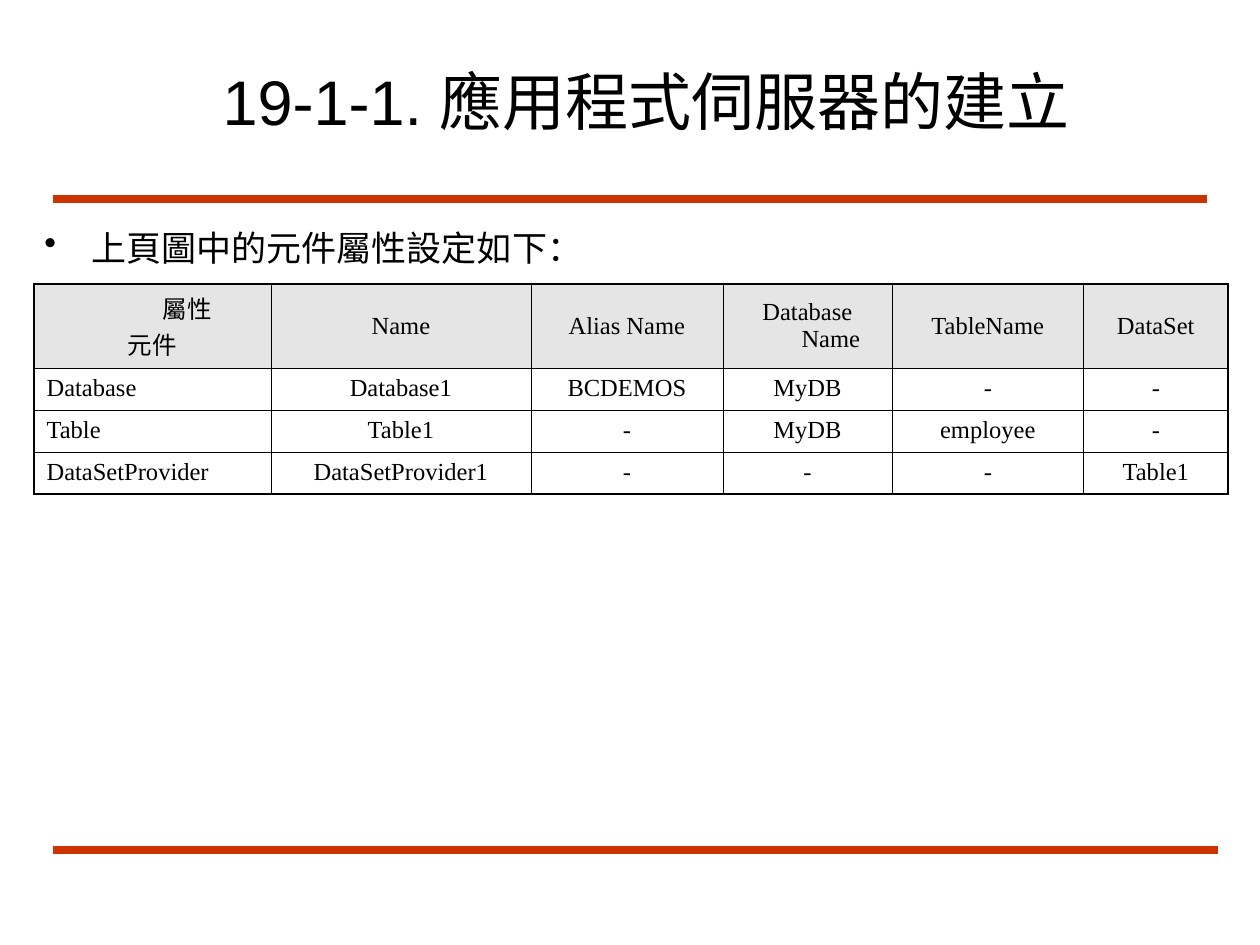
from lxml.etree import SubElement
from pptx import Presentation
from pptx.dml.color import RGBColor
from pptx.enum.shapes import MSO_CONNECTOR
from pptx.enum.text import MSO_ANCHOR, MSO_AUTO_SIZE, PP_ALIGN
from pptx.oxml.ns import qn
from pptx.util import Pt

PX = 914400 / 126
COLORS = {"text": "000000", "rule": "CC3300", "header": "E5E5E5"}
SANS, SERIF, CJK = "Arial", "Times New Roman", "Noto Sans CJK TC"
HANGING = 47
COLUMNS = [237, 260, 192, 169, 192, 144]
ROWS = [84, 40, 40, 40]
CELLS = [
    ["屬性\n元件", "Name", "Alias Name", "Database Name", "TableName", "DataSet"],
    ["Database", "Database1", "BCDEMOS", "MyDB", "-", "-"],
    ["Table", "Table1", "-", "MyDB", "employee", "-"],
    ["DataSetProvider", "DataSetProvider1", "-", "-", "-", "Table1"],
]


def emu(pixels):
    return round(pixels * PX)


def color(name):
    return RGBColor.from_string(COLORS[name])


class SlideBuilder:
    def __init__(self, deck):
        self.slide = deck.slides.add_slide(deck.slide_layouts[5])

    def add_text(self, para, text, size, font, align=PP_ALIGN.LEFT, margin=0, indent=0, bullet=None):
        para.alignment = align
        properties = para._p.get_or_add_pPr()
        properties.set("marL", str(emu(margin)))
        properties.set("indent", str(emu(indent)))
        if bullet:
            SubElement(properties, qn("a:buChar"), char=bullet)
        span = para.add_run()
        span.text = text
        span.font.size = Pt(size)
        span.font.name = font
        span.font.color.rgb = color("text")
        SubElement(span._r.get_or_add_rPr(), qn("a:ea"), typeface=CJK)

    def title(self, text, left, top, width, height):
        box = self.slide.shapes.title
        box.left, box.top, box.width, box.height = map(emu, (left, top, width, height))
        frame = box.text_frame
        frame.auto_size = MSO_AUTO_SIZE.NONE
        frame.vertical_anchor = MSO_ANCHOR.MIDDLE
        self.add_text(frame.paragraphs[0], text, 36, SANS)

    def rule(self, left, right, y):
        line = self.slide.shapes.add_connector(
            MSO_CONNECTOR.STRAIGHT, emu(left), emu(y), emu(right), emu(y))
        line.line.color.rgb = color("rule")
        line.line.width = Pt(4.5)
        SubElement(line._element.spPr, qn("a:effectLst"))

    def bullet(self, text, left, top, width, height):
        box = self.slide.shapes.add_textbox(*map(emu, (left, top, width, height)))
        frame = box.text_frame
        frame.word_wrap = True
        self.add_text(frame.paragraphs[0], text, 20, SANS,
                      margin=HANGING, indent=-HANGING, bullet="•")

    def borders(self, cell, row, column):
        outer = {"L": column == 0, "R": column == len(COLUMNS) - 1,
                 "T": row == 0, "B": row == len(ROWS) - 1}
        properties = cell._tc.get_or_add_tcPr()
        for side, is_outer in outer.items():
            width = Pt(0.96 if is_outer else 0.45)
            border = SubElement(properties, qn(f"a:ln{side}"), w=str(width))
            fill = SubElement(border, qn("a:solidFill"))
            SubElement(fill, qn("a:srgbClr"), val=COLORS["text"])

    def cell(self, cell, text, row, column):
        self.borders(cell, row, column)
        header = row == 0
        if header:
            cell.fill.solid()
            cell.fill.fore_color.rgb = color("header")
        else:
            cell.fill.background()
        cell.vertical_anchor = MSO_ANCHOR.MIDDLE if header else MSO_ANCHOR.TOP
        corner = header and column == 0
        align = PP_ALIGN.LEFT if column == 0 and not header else PP_ALIGN.CENTER
        frame = cell.text_frame
        for index, line in enumerate(text.split("\n")):
            para = frame.add_paragraph() if index else frame.paragraphs[0]
            shifted = corner and index == 0
            self.add_text(para, line, 14, CJK if corner else SERIF, align,
                          margin=70 if shifted else HANGING,
                          indent=0 if shifted else -HANGING)

    def table(self, left, top):
        area = map(emu, (left, top, sum(COLUMNS), sum(ROWS)))
        table = self.slide.shapes.add_table(len(ROWS), len(COLUMNS), *area).table
        table.first_row = table.horz_banding = False
        for column, width in zip(table.columns, COLUMNS):
            column.width = emu(width)
        for row, height in zip(table.rows, ROWS):
            row.height = emu(height)
        for row, texts in enumerate(CELLS):
            for column, text in enumerate(texts):
                self.cell(table.cell(row, column), text, row, column)


def main():
    deck = Presentation()
    deck.slide_width, deck.slide_height = emu(1260), emu(945)
    page = SlideBuilder(deck)
    page.rule(53, 1207, 199)
    page.rule(53, 1218, 850)
    page.title("19-1-1. 應用程式伺服器的建立", 210, 42, 955, 116)
    page.bullet("上頁圖中的元件屬性設定如下：", 32, 220, 588, 609)
    page.table(34, 284)
    deck.save("out.pptx")


if __name__ == "__main__":
    main()
